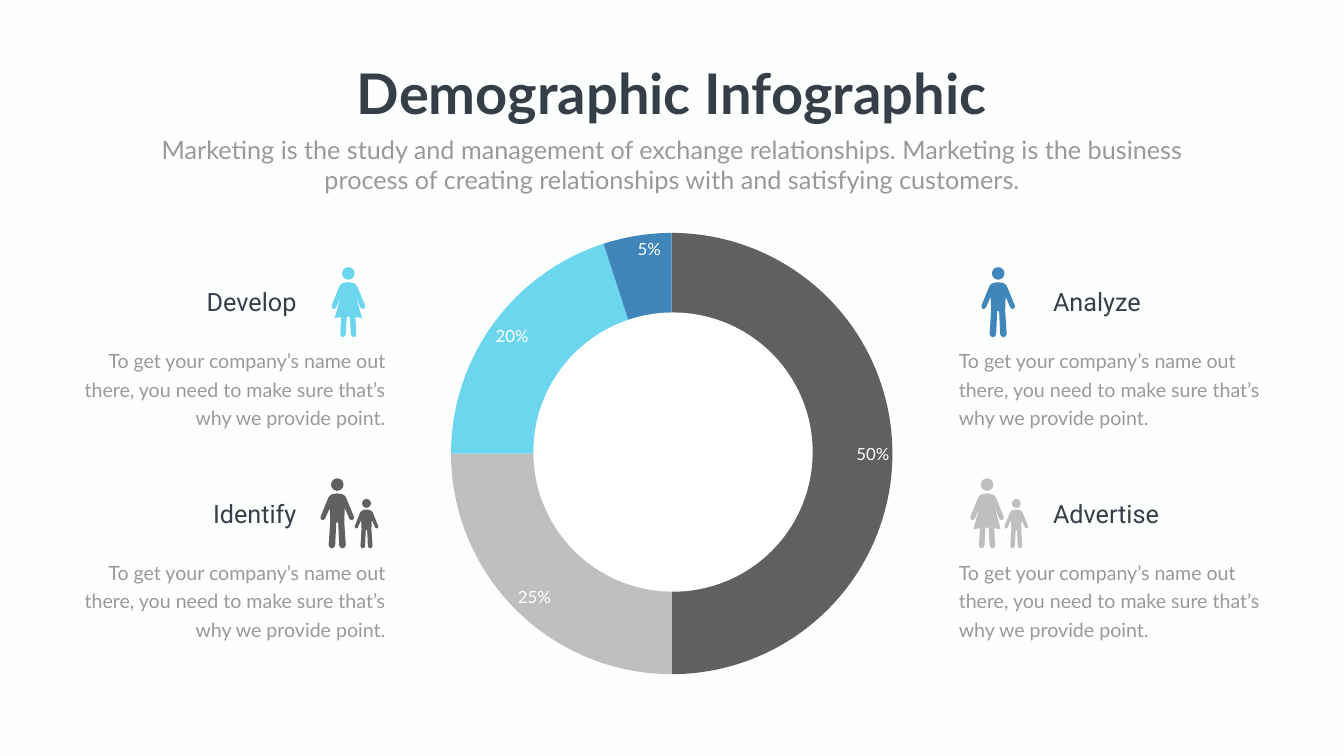
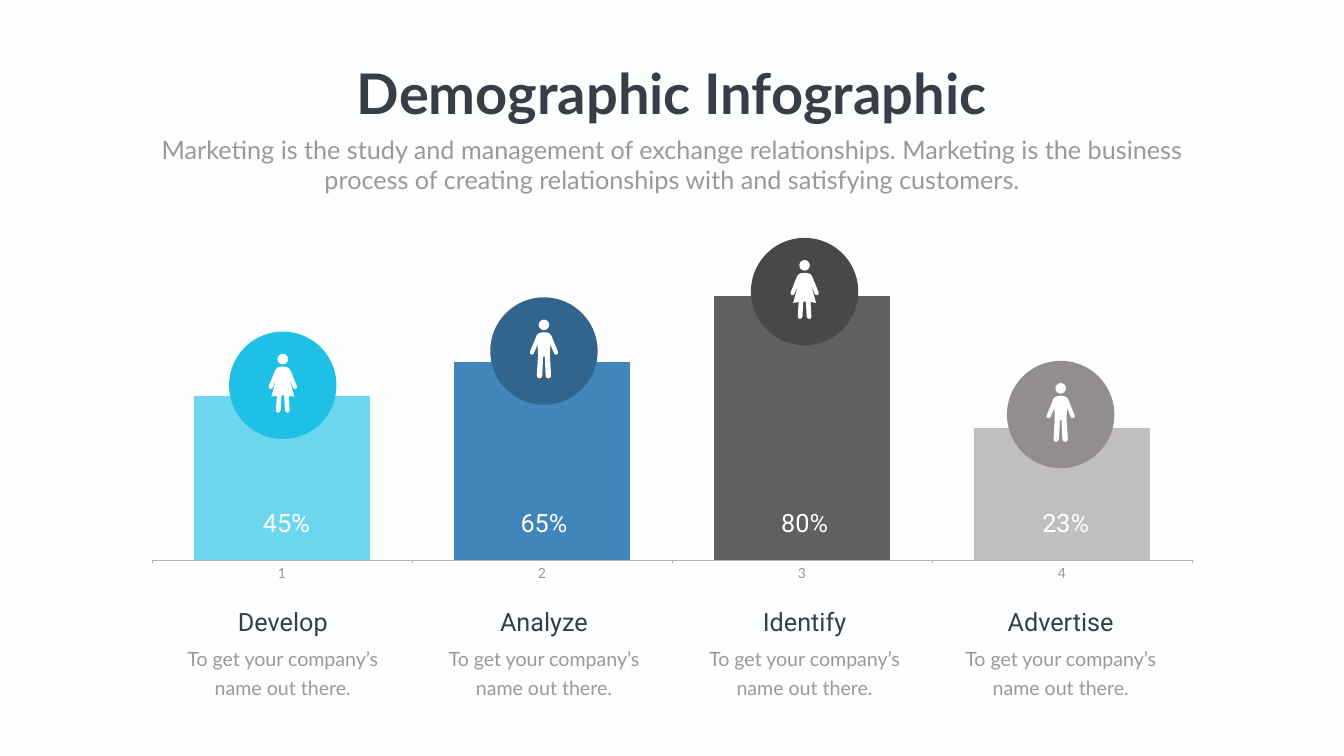
from dataclasses import dataclass

from pptx import Presentation
from pptx.chart.data import CategoryChartData
from pptx.dml.color import RGBColor
from pptx.enum.chart import XL_CHART_TYPE, XL_LABEL_POSITION, XL_TICK_MARK
from pptx.enum.shapes import MSO_SHAPE
from pptx.enum.text import MSO_ANCHOR, MSO_AUTO_SIZE, PP_ALIGN
from pptx.oxml import parse_xml
from pptx.oxml.ns import nsdecls
from pptx.util import Inches, Pt

PIE, STACKED = XL_CHART_TYPE.PIE, XL_CHART_TYPE.COLUMN_STACKED
INSIDE_END = XL_LABEL_POSITION.INSIDE_END
TICK_OUT = XL_TICK_MARK.OUTSIDE
OVAL = MSO_SHAPE.OVAL
LEFT, CENTER, RIGHT = PP_ALIGN.LEFT, PP_ALIGN.CENTER, PP_ALIGN.RIGHT
TOP = MSO_ANCHOR.TOP
FIT_SHAPE = MSO_AUTO_SIZE.SHAPE_TO_FIT_TEXT


@dataclass(frozen=True)
class Theme:
    background: str = "FDFFFE"
    white: str = "FFFFFF"
    ink: str = "363E48"
    muted: str = "999999"
    axis: str = "B3B3B3"
    cyan: str = "6CD6EE"
    blue: str = "4186BA"
    dark: str = "5F605F"
    light: str = "C1BEBF"
    deep_cyan: str = "1EC0E5"
    deep_blue: str = "31658B"
    deep_dark: str = "474847"
    deep_light: str = "928D8F"
    body_font: str = "Lato"
    heading_font: str = "Roboto"
    title_size: int = 80
    heading_size: int = 36
    body_size: int = 28
    label_size: int = 24
    axis_size: int = 20
    body_leading: float = 40.8


THEME = Theme()

TITLE = "Demographic Infographic"
SUBTITLE = ("Marketing is the study and management of exchange relationships. "
            "Marketing is the business process of creating relationships with "
            "and satisfying customers.")
LONG_BODY = ("To get your company’s name out there, you need to make sure "
             "that’s why we provide point.")
SHORT_BODY = "To get your company’s name out there."

# Right half of each figure's body, in inches from the top centre of the head
FIGURE_HEIGHT = 1.39
SHOULDER = [(0, .3), (.08, .31), (.13, .33), (.16, .36)]
ARM = [(.33, .76), (.33, .8), (.3, .83), (.26, .82), (.24, .8)]
MAN = [*SHOULDER, (.17, .37), *ARM, (.15, .59), (.14, .82), (.14, .87),
       (.17, 1.32), (.15, 1.37), (.11, 1.39), (.06, 1.37), (.04, 1.33),
       (.02, .89), (.01, .87), (0, .87)]
WOMAN = [*SHOULDER, (.18, .39), *ARM, (.15, .57), (.27, 1.01), (.14, .99),
         (.16, 1.33), (.15, 1.37), (.11, 1.39), (.07, 1.37), (.05, 1.33),
         (.03, .98), (0, .98)]


@dataclass(frozen=True)
class Segment:
    name: str
    color: str
    figure: list
    with_child: bool
    on_left: bool
    top: float


@dataclass(frozen=True)
class Column:
    name: str
    percent: str
    height: int
    color: str
    badge_color: str
    figure: list
    center: float
    percent_center: float
    badge_top: float


SEGMENTS = [
    Segment("Identify", THEME.dark, MAN, True, True, 9.49),
    Segment("Advertise", THEME.light, WOMAN, True, False, 9.49),
    Segment("Develop", THEME.cyan, WOMAN, False, True, 5.3),
    Segment("Analyze", THEME.blue, MAN, False, False, 5.3),
]
SHARES = [0.5, 0.25, 0.2, 0.05]

COLUMNS = [
    Column("Develop", "45%", 62, THEME.cyan, THEME.deep_cyan, WOMAN,
           5.61, 5.68, 6.58),
    Column("Analyze", "65%", 75, THEME.blue, THEME.deep_blue, MAN,
           10.79, 10.79, 5.9),
    Column("Identify", "80%", 100, THEME.dark, THEME.deep_dark, WOMAN,
           15.96, 15.96, 4.72),
    Column("Advertise", "23%", 50, THEME.light, THEME.deep_light, MAN,
           21.04, 21.14, 7.16),
]


def rgb(color):
    return RGBColor.from_string(color)


def style_font(font, family, size, color, bold=False):
    font.name, font.size, font.bold = family, Pt(size), bold
    font.color.rgb = rgb(color)


def paint(shape, color):
    shape.shadow.inherit = False
    shape.fill.solid()
    shape.fill.fore_color.rgb = rgb(color)
    shape.line.fill.background()


def fill_text(box, text, align, family, size, color, bold=False):
    frame = box.text_frame
    frame.text = text
    frame.word_wrap = True
    frame.auto_size = FIT_SHAPE
    frame.vertical_anchor = TOP
    paragraph = frame.paragraphs[0]
    paragraph.alignment = align
    style_font(paragraph.font, family, size, color, bold)
    return frame


def add_text(slide, at, text, align, family, size, color):
    box = slide.shapes.add_textbox(*map(Inches, at))
    return fill_text(box, text, align, family, size, color)


def add_heading(slide, at, text, align, color=THEME.ink):
    add_text(slide, at, text, align, THEME.heading_font,
             THEME.heading_size, color)


def add_body(slide, at, text, align):
    frame = add_text(slide, at, text, align, THEME.body_font,
                     THEME.body_size, THEME.muted)
    frame.margin_top = frame.margin_bottom = Inches(.03)
    frame.paragraphs[0].line_spacing = Pt(THEME.body_leading)


def add_titled_slide(prs):
    slide = prs.slides.add_slide(prs.slide_layouts[5])
    title = slide.shapes.title
    title.left, title.top, title.width, title.height = map(
        Inches, (6.86, 1.12, 12.93, 1.45))
    frame = fill_text(title, TITLE, CENTER, THEME.body_font,
                      THEME.title_size, THEME.ink, bold=True)
    frame.word_wrap = False
    add_text(slide, (2.92, 2.61, 20.82, 1.31), SUBTITLE, CENTER,
             THEME.body_font, THEME.heading_size, THEME.muted)
    return slide


def add_circle(shapes, center, top, diameter, color):
    circle = shapes.add_shape(OVAL, Inches(center - diameter / 2), Inches(top),
                              Inches(diameter), Inches(diameter))
    paint(circle, color)


def add_figure(shapes, half, center, top, height, color):
    """Mirror the half outline into a body and set a head on it."""
    scale = height / FIGURE_HEIGHT
    outline = half + [(-x, y) for x, y in reversed(half)]
    points = [(Inches(center + x * scale), Inches(top + y * scale))
              for x, y in outline]
    group = shapes.add_group_shape()
    builder = group.shapes.build_freeform(*points[0])
    builder.add_line_segments(points[1:])
    paint(builder.convert_to_shape(), color)
    add_circle(group.shapes, center, top, .25 * scale, color)


def add_plain_chart(slide, kind, at, values, colors, plot_area):
    data = CategoryChartData()
    data.categories = [str(n + 1) for n in range(len(values))]
    data.add_series("Series 1", values)
    chart = slide.shapes.add_chart(kind, *map(Inches, at), data).chart
    chart.has_title = chart.has_legend = False
    for point_index, color in enumerate(colors):
        look = chart.plots[0].series[0].points[point_index].format
        look.fill.solid()
        look.fill.fore_color.rgb = rgb(color)
        look.line.fill.background()
    place_plot(chart, plot_area)
    return chart


def place_plot(chart, plot_area):
    """Fix the inner plot area, in fractions of the chart."""
    area = chart._chartSpace.xpath(".//c:plotArea")[0]
    for layout in area.xpath("./c:layout"):
        area.remove(layout)
    modes = "".join(f'<c:{side}Mode val="edge"/>' for side in "xy")
    sizes = "".join(f'<c:{side} val="{share}"/>'
                    for side, share in zip("xywh", plot_area))
    area.insert(0, parse_xml(
        f'<c:layout {nsdecls("c")}><c:manualLayout>'
        f'<c:layoutTarget val="inner"/>{modes}{sizes}'
        "</c:manualLayout></c:layout>"))


def add_segment(slide, segment):
    if segment.on_left:
        align, icon_center = RIGHT, 6.91
        heading_left, heading_width, body_left = 2.01, 3.97, 1.4
    else:
        align, icon_center = LEFT, 19.8
        heading_left, heading_width, body_left = 20.79, 3.86, 18.92
    top = segment.top
    add_body(slide, (body_left, top + 1.5, 6.34, 1.77), LONG_BODY, align)
    add_heading(slide, (heading_left, top + .34, heading_width, .71),
                segment.name, align)
    adult_center = icon_center - (.22 if segment.with_child else 0)
    add_figure(slide.shapes, segment.figure, adult_center, top,
               FIGURE_HEIGHT, segment.color)
    if segment.with_child:
        add_figure(slide.shapes, MAN, icon_center + .36, top + .41, .98,
                   segment.color)


def build_ring_slide(prs):
    slide = add_titled_slide(prs)
    chart = add_plain_chart(slide, PIE, (6.59, 4.48, 13.47, 9.04), SHARES,
                            [segment.color for segment in SEGMENTS],
                            (.175, .015, .65, .97))
    plot = chart.plots[0]
    plot.has_data_labels = True
    labels = plot.data_labels
    labels.show_value, labels.show_percentage = True, False
    labels.number_format, labels.number_format_is_linked = "0%", False
    labels.position = INSIDE_END
    style_font(labels.font, THEME.body_font, THEME.label_size, THEME.white)
    # Hole of the ring
    add_circle(slide.shapes, 13.35, 6.2, 5.54, THEME.white)
    for segment in SEGMENTS:
        add_segment(slide, segment)


def add_column_details(slide, column):
    center = column.center
    add_circle(slide.shapes, center, column.badge_top, 2.13,
               column.badge_color)
    add_figure(slide.shapes, column.figure, center, column.badge_top + .44,
               1.17, THEME.white)
    add_heading(slide, (column.percent_center - .875, 10.02, 1.75, .71),
                column.percent, CENTER, THEME.white)
    add_body(slide, (center - 2.5, 12.71, 5, 1.19), SHORT_BODY, CENTER)
    add_heading(slide, (center - 2.86, 11.99, 5.72, .71), column.name, CENTER)


def build_column_slide(prs):
    slide = add_titled_slide(prs)
    chart = add_plain_chart(slide, STACKED, (1.66, 4.99, 23.34, 6.65),
                            [column.height for column in COLUMNS],
                            [column.color for column in COLUMNS],
                            (.058, .034, .884, .886))
    plot = chart.plots[0]
    plot.gap_width, plot.overlap, plot.vary_by_categories = 48, 100, False
    scale = chart.value_axis
    scale.minimum_scale, scale.maximum_scale = 0, 112.5
    scale.has_major_gridlines = scale.visible = False
    categories = chart.category_axis
    categories.major_tick_mark = TICK_OUT
    categories.format.line.color.rgb = rgb(THEME.axis)
    categories.format.line.width = Pt(.75)
    style_font(categories.tick_labels.font, THEME.body_font,
               THEME.axis_size, THEME.muted)
    for column in COLUMNS:
        add_column_details(slide, column)


def main():
    prs = Presentation()
    prs.slide_width, prs.slide_height = Inches(26.66), Inches(15)
    backdrop = prs.slide_master.background.fill
    backdrop.solid()
    backdrop.fore_color.rgb = rgb(THEME.background)
    build_ring_slide(prs)
    build_column_slide(prs)
    prs.save("out.pptx")


if __name__ == "__main__":
    main()
